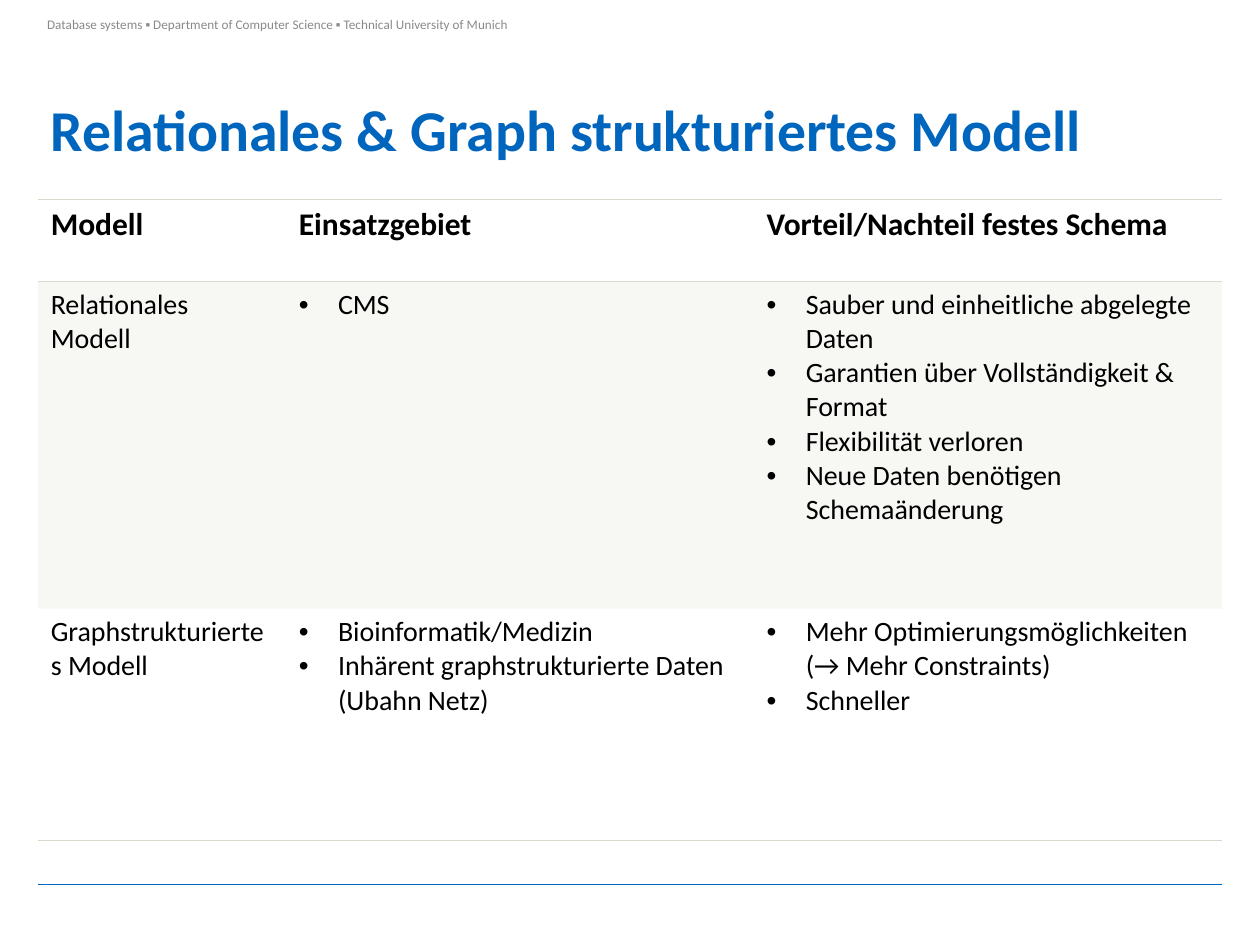
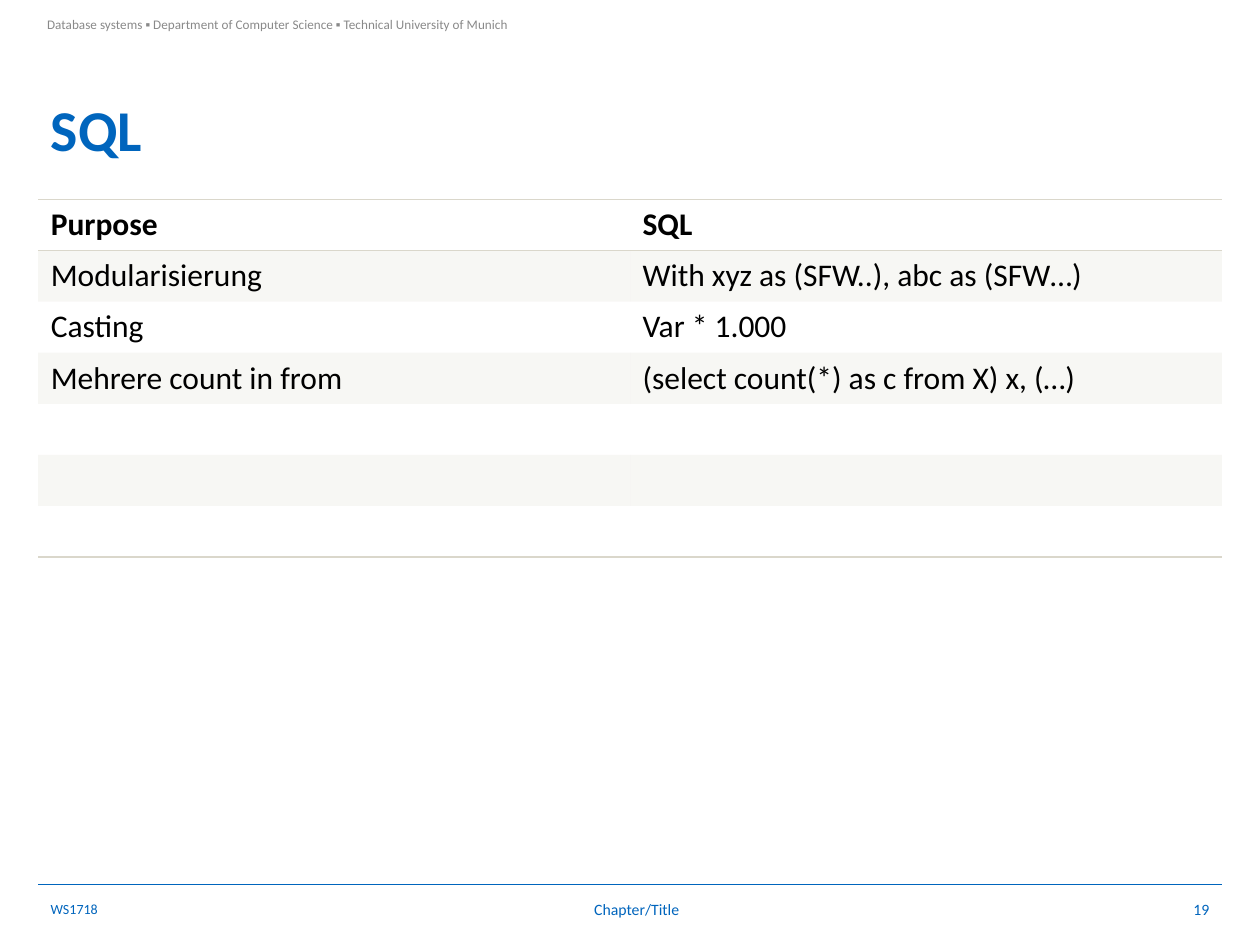
"""Builds two slides comparing data models and listing SQL patterns."""
from dataclasses import dataclass

from lxml.etree import SubElement
from pptx import Presentation
from pptx.dml.color import RGBColor
from pptx.enum.shapes import MSO_CONNECTOR
from pptx.enum.text import MSO_ANCHOR, MSO_AUTO_SIZE, PP_ALIGN
from pptx.oxml.ns import qn
from pptx.util import Cm, Pt

FONT = "Calibri"
BLUE, GREY, BLACK, SAND = "0065BD", "898989", "000000", "DAD7CB"
LEFT, WIDTH = 0.77, 23.86
TABLE_TOP = 4.02
RULE_TOP = 17.83
FOOTER_TOP, FOOTER_HEIGHT = 18.03, 0.59
BULLET_INDENT = Cm(0.79)
PLAIN_TABLE_STYLE = "{2D5ABB26-0587-4C30-8999-92F81FD0307C}"
HEADER_TEXT = "Database systems ▪ Department of Computer Science ▪ Technical University of Munich"


@dataclass
class Label:
    """A one-line text box; margins run left, top, right, bottom."""
    text: str
    left: float
    top: float
    width: float
    height: float
    size: float
    color: str = BLUE
    align: PP_ALIGN = PP_ALIGN.LEFT
    anchor: MSO_ANCHOR = MSO_ANCHOR.MIDDLE
    margins: tuple = (0.25, 0.13, 0.25, 0.13)


@dataclass
class TableContent:
    """A table; a list as cell content becomes a bulleted list."""
    columns: list[float]
    row_heights: list[float]
    rows: list[tuple]
    body_size: float


HEADER = Label(HEADER_TEXT, LEFT, 0, 11.94, 1.73, 7.5, GREY,
               anchor=MSO_ANCHOR.TOP, margins=(0.18, 0.48, 0.25, 0.13))

FOOTERS = [
    Label("WS1718", LEFT, FOOTER_TOP, 1.68, FOOTER_HEIGHT, 8),
    Label("Chapter/Title", 2.46, FOOTER_TOP, 20.75, FOOTER_HEIGHT, 9, align=PP_ALIGN.CENTER),
    Label("19", 23.5, FOOTER_TOP, 1.13, FOOTER_HEIGHT, 9, align=PP_ALIGN.RIGHT),
]

MODELS = TableContent(
    columns=[5, 9.43, 9.43],
    row_heights=[1.65, 6.6, 4.67],
    rows=[
        ("Modell", "Einsatzgebiet", "Vorteil/Nachteil festes Schema"),
        ("Relationales Modell", ["CMS"], [
            "Sauber und einheitliche abgelegte Daten",
            "Garantien über Vollständigkeit & Format",
            "Flexibilität verloren",
            "Neue Daten benötigen Schemaänderung",
        ]),
        ("Graphstrukturiertes Modell", [
            "Bioinformatik/Medizin",
            "Inhärent graphstrukturierte Daten (Ubahn Netz)",
        ], [
            "Mehr Optimierungsmöglichkeiten (→ Mehr Constraints)",
            "Schneller",
        ]),
    ],
    body_size=16,
)

SQL_PATTERNS = TableContent(
    columns=[WIDTH / 2] * 2,
    row_heights=[1.03] * 7,
    rows=[
        ("Purpose", "SQL"),
        ("Modularisierung", "With xyz as (SFW..), abc as (SFW…)"),
        ("Casting", "Var * 1.000"),
        ("Mehrere count in from", "(select count(*) as c from X) x, (…)"),
        ("", ""),
        ("", ""),
        ("", ""),
    ],
    body_size=18,
)


def rgb(color: str) -> RGBColor:
    """Turn a hex string into a colour."""
    return RGBColor.from_string(color)


def format_runs(paragraph, size: float, color: str, bold: bool = False) -> None:
    """Give every run of a paragraph its font."""
    for run in paragraph.runs:
        run.font.name = FONT
        run.font.size = Pt(size)
        run.font.bold = bold
        run.font.color.rgb = rgb(color)


def add_label(slide, label: Label) -> None:
    """Draw a text box."""
    box = slide.shapes.add_textbox(Cm(label.left), Cm(label.top), Cm(label.width), Cm(label.height))
    frame = box.text_frame
    frame.word_wrap = True
    frame.vertical_anchor = label.anchor
    (frame.margin_left, frame.margin_top,
     frame.margin_right, frame.margin_bottom) = map(Cm, label.margins)
    frame.text = label.text
    paragraph = frame.paragraphs[0]
    paragraph.alignment = label.align
    format_runs(paragraph, label.size, label.color)


def add_rule(slide) -> None:
    """Draw the blue line above the footer."""
    rule = slide.shapes.add_connector(
        MSO_CONNECTOR.STRAIGHT, Cm(LEFT), Cm(RULE_TOP), Cm(LEFT + WIDTH), Cm(RULE_TOP))
    rule.line.color.rgb = rgb(BLUE)
    rule.line.width = Pt(0.5)
    SubElement(rule.element.spPr, qn("a:effectLst"))


def set_title(slide, text: str) -> None:
    """Place, fill and format the title placeholder."""
    title = slide.shapes.title
    title.left, title.top, title.width, title.height = Cm(LEFT), Cm(1.73), Cm(WIDTH), Cm(1.88)
    frame = title.text_frame
    frame.text = text
    frame.auto_size = MSO_AUTO_SIZE.NONE
    frame.vertical_anchor = MSO_ANCHOR.MIDDLE
    paragraph = frame.paragraphs[0]
    paragraph.alignment = PP_ALIGN.LEFT
    paragraph.line_spacing = 0.9
    format_runs(paragraph, 33, BLUE, bold=True)


def add_bullet(paragraph) -> None:
    """Give a paragraph a bullet with a hanging indent."""
    properties = paragraph._p.get_or_add_pPr()
    properties.set("marL", str(BULLET_INDENT))
    properties.set("indent", str(-BULLET_INDENT))
    SubElement(properties, qn("a:buFont"), typeface="Arial")
    SubElement(properties, qn("a:buChar"), char="•")


def add_border(cell, side: str) -> None:
    """Draw a sand-coloured border on one side of a cell."""
    border = SubElement(cell._tc.get_or_add_tcPr(), qn(f"a:{side}"), w=str(Pt(1)))
    fill = SubElement(border, qn("a:solidFill"))
    SubElement(fill, qn("a:srgbClr"), val=SAND)


def fill_band(cell) -> None:
    """Fill a cell with sand at 20 percent opacity."""
    cell.fill.solid()
    cell.fill.fore_color.rgb = rgb(SAND)
    color = cell._tc.tcPr.find(qn("a:solidFill")).find(qn("a:srgbClr"))
    SubElement(color, qn("a:alpha"), val="20000")


def write_cell(cell, content: str | list[str], size: float, bold: bool) -> None:
    """Write plain text or a bulleted list into a cell."""
    bulleted = isinstance(content, list)
    cell.text_frame.text = "\n".join(content) if bulleted else content
    for paragraph in cell.text_frame.paragraphs:
        if bulleted:
            add_bullet(paragraph)
        format_runs(paragraph, size, BLACK, bold)


def add_content_table(slide, content: TableContent) -> None:
    """Draw a table with a ruled header and banded rows."""
    row_count = len(content.rows)
    frame = slide.shapes.add_table(
        row_count, len(content.columns), Cm(LEFT), Cm(TABLE_TOP),
        Cm(WIDTH), Cm(sum(content.row_heights)))
    table = frame.table
    table.first_row = table.horz_banding = False
    table._tbl.tblPr.find(qn("a:tableStyleId")).text = PLAIN_TABLE_STYLE
    for column, width in zip(table.columns, content.columns):
        column.width = Cm(width)
    for row_index, (row, values) in enumerate(zip(table.rows, content.rows)):
        row.height = Cm(content.row_heights[row_index])
        is_header = row_index == 0
        for cell, value in zip(row.cells, values):
            write_cell(cell, value, 18 if is_header else content.body_size, is_header)
            if is_header:
                add_border(cell, "lnT")
            if is_header or row_index == row_count - 1:
                add_border(cell, "lnB")
            if row_index % 2:
                fill_band(cell)
            else:
                cell.fill.background()


def add_table_slide(presentation, title: str, content: TableContent):
    """Add a slide with the shared frame, a title and a table."""
    slide = presentation.slides.add_slide(presentation.slide_layouts.get_by_name("Title Only"))
    add_rule(slide)
    add_label(slide, HEADER)
    set_title(slide, title)
    add_content_table(slide, content)
    return slide


def main() -> None:
    """Build and save the presentation."""
    presentation = Presentation()
    presentation.slide_width, presentation.slide_height = Cm(25.4), Cm(19.05)
    add_table_slide(presentation, "Relationales & Graph strukturiertes Modell", MODELS)
    sql_slide = add_table_slide(presentation, "SQL", SQL_PATTERNS)
    for footer in FOOTERS:
        add_label(sql_slide, footer)
    presentation.save("out.pptx")


if __name__ == "__main__":
    main()
